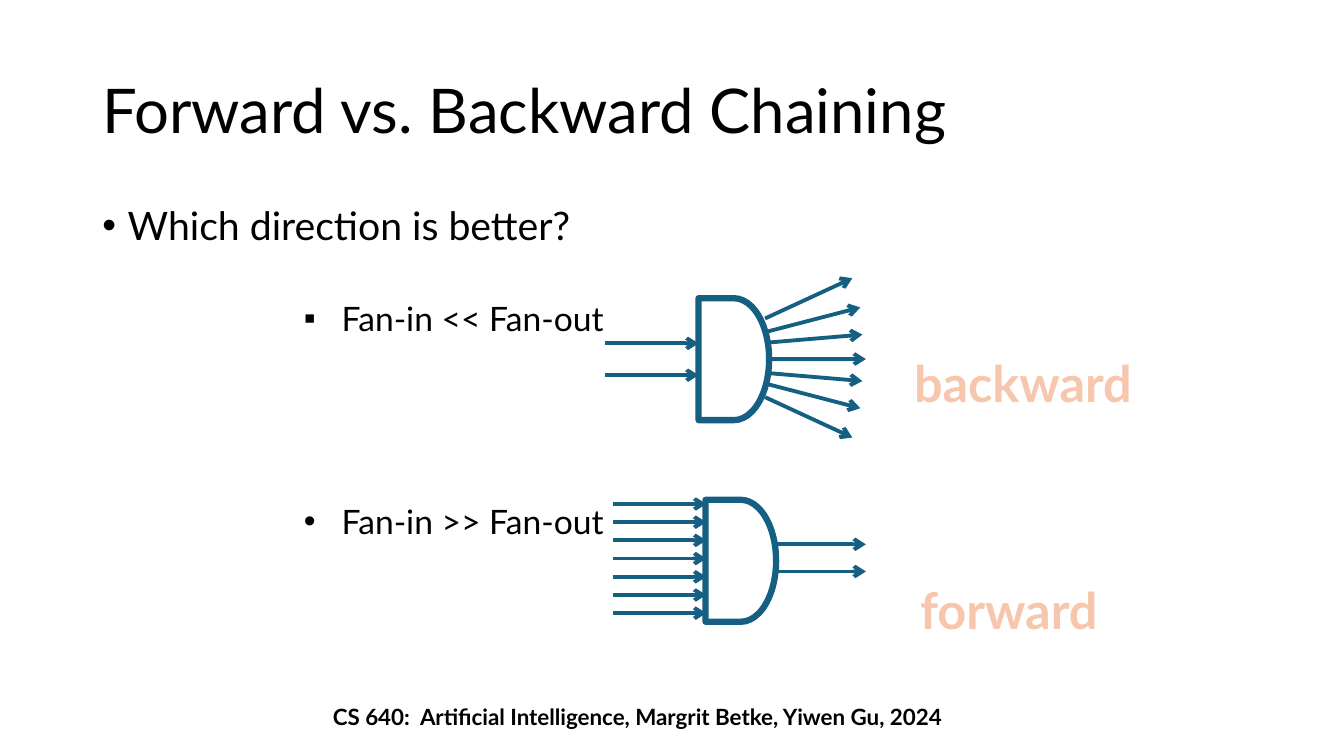
from lxml.etree import SubElement
from pptx import Presentation
from pptx.dml.color import RGBColor
from pptx.enum.shapes import MSO_CONNECTOR as Connector, MSO_SHAPE as Shape
from pptx.enum.text import MSO_ANCHOR as Anchor, MSO_AUTO_SIZE as AutoSize, PP_ALIGN as Align
from pptx.oxml import parse_xml
from pptx.oxml.ns import nsdecls, qn
from pptx.util import Pt


def color(code):
    return RGBColor.from_string(code)


class ChainingSlide:
    font = "Lato"
    ink = "000000"
    blue = "156082"
    peach = "F6C6AD"
    orange = "E97132"

    def __init__(self, deck):
        self.page = deck.slides.add_slide(deck.slide_layouts[1])

    def fill_text(self, box, text, size, code=ink, bold=False, align=Align.LEFT,
                  anchor=Anchor.TOP, fit=AutoSize.NONE):
        frame = box.text_frame
        frame.word_wrap = True
        frame.auto_size = fit
        frame.vertical_anchor = anchor
        frame.text = text
        para = frame.paragraphs[0]
        para.alignment = align
        para.font.name = self.font
        para.font.size = Pt(size)
        para.font.bold = bold
        para.font.color.rgb = color(code)
        return para

    def place(self, box, left, top, width, height):
        box.left, box.top, box.width, box.height = map(Pt, (left, top, width, height))
        return box

    def bullet(self, para, symbol, indent):
        props = para._p.get_or_add_pPr()
        props.set("marL", str(Pt(indent)))
        props.set("indent", str(-Pt(indent)))
        defaults = props.find(qn("a:defRPr"))
        defaults.addprevious(parse_xml(f'<a:buFont {nsdecls("a")} typeface="Arial"/>'))
        defaults.addprevious(parse_xml(f'<a:buChar {nsdecls("a")} char="{symbol}"/>'))

    def title(self, text):
        box = self.place(self.page.shapes.title, 66, 28.8, 828, 104.4)
        self.fill_text(box, text, 44, anchor=Anchor.MIDDLE).line_spacing = 0.9

    def body(self, text):
        box = self.place(self.page.placeholders[1], 66, 144, 828, 342.7)
        para = self.fill_text(box, text, 28)
        para.line_spacing = 0.9
        para.space_before = Pt(10)
        self.bullet(para, "•", 18)

    def text(self, text, left, top, width, height, size, **style):
        box = self.page.shapes.add_textbox(*map(Pt, (left, top, width, height)))
        return self.fill_text(box, text, size, **style)

    def case(self, text, symbol, top):
        para = self.text(text, 210, top, 361, 36, 24, fit=AutoSize.SHAPE_TO_FIT_TEXT)
        self.bullet(para, symbol, 27)

    def answer(self, text, left, top):
        para = self.text(text, left, top, 272, 51, 36, code=self.peach, bold=True,
                         align=Align.CENTER, fit=AutoSize.SHAPE_TO_FIT_TEXT)
        outline = parse_xml(
            f'<a:ln {nsdecls("a")} w="{Pt(1.75)}"><a:solidFill>'
            f'<a:srgbClr val="{self.orange}"/></a:solidFill></a:ln>')
        para._p.pPr.find(qn("a:defRPr")).insert(0, outline)

    def group(self):
        return self.page.shapes.add_group_shape().shapes

    def gate(self, group, left, top):
        gate = group.add_shape(Shape.FLOWCHART_DELAY, *map(Pt, (left, top, 50.4, 87.1)))
        gate.shadow.inherit = False
        gate.fill.solid()
        gate.fill.fore_color.rgb = color("FFFFFF")
        gate.line.color.rgb = color(self.blue)
        gate.line.width = Pt(4.5)
        return gate

    def arrow(self, group, x1, y1, x2, y2):
        arrow = group.add_connector(Connector.STRAIGHT, *map(Pt, (x1, y1, x2, y2)))
        arrow.line.color.rgb = color(self.blue)
        arrow.line.width = Pt(2.75)
        props = arrow._element.spPr
        SubElement(props.find(qn("a:ln")), qn("a:tailEnd"), type="arrow")
        SubElement(props, qn("a:effectLst"))
        return arrow


def main():
    deck = Presentation()
    deck.slide_width, deck.slide_height = Pt(960), Pt(540)
    slide = ChainingSlide(deck)

    # Heading and question
    slide.title("Forward vs. Backward Chaining")
    slide.body("Which direction is better?")

    # Many inputs, two outputs
    wide_in = slide.group()
    for row in range(7):
        y = 360 + 13 * row
        slide.arrow(wide_in, 437.8, y, 504.5, y)
    for y in (388.8, 408.2):
        slide.arrow(wide_in, 549.4, y, 618.5, y)
    slide.gate(wide_in, 504, 357)

    # Two inputs, many outputs mirrored about the axis
    wide_out = slide.group()
    for y in (245.3, 268):
        slide.arrow(wide_out, 432, y, 499, y)
    gate = slide.gate(wide_out, 499, 213)
    axis = 255.6
    slide.arrow(wide_out, 549.4, 256.5, 618.5, 256.5).begin_connect(gate, 3)
    fan = [(547.2, 10.8, 616, 16.6), (547.9, 18.7, 614.5, 36), (546.5, 28.1, 608.8, 56.9)]
    for x1, rise1, x2, rise2 in fan:
        for side in (-1, 1):
            slide.arrow(wide_out, x1, axis + side * rise1, x2, axis + side * rise2)

    # Cases and answers
    slide.case("Fan-in << Fan-out", "▪", 209.5)
    slide.case("Fan-in >> Fan-out", "•", 354.5)
    slide.answer("backward", 594.7, 247.7)
    slide.answer("forward", 584.6, 410.4)

    # Course line
    slide.text("CS 640:  Artificial Intelligence, Margrit Betke, Yiwen Gu, 2024",
               219.6, 500.4, 471.6, 23, 16, bold=True, align=Align.CENTER,
               anchor=Anchor.MIDDLE)

    deck.save("out.pptx")


if __name__ == "__main__":
    main()
